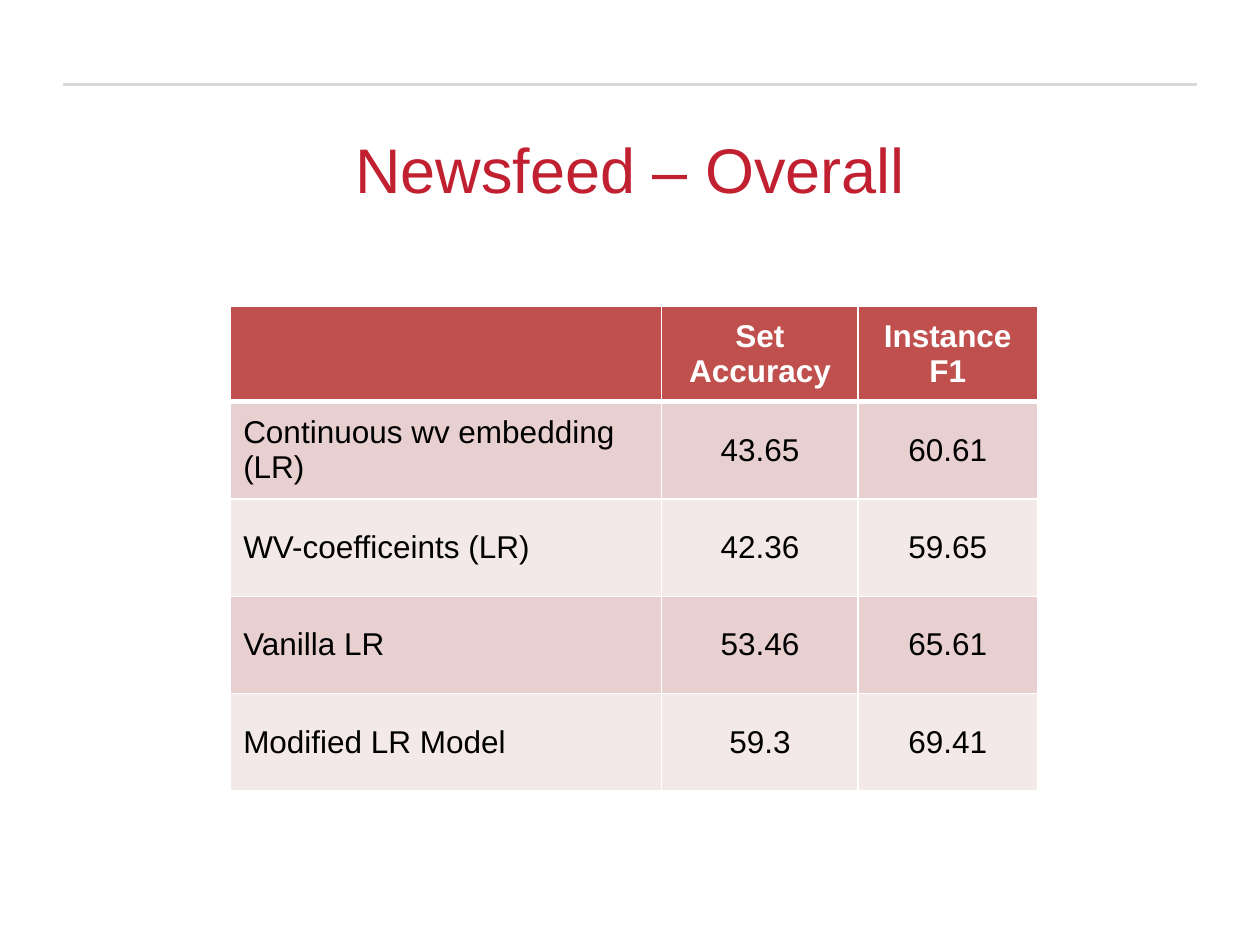
from lxml.etree import SubElement
from pptx import Presentation
from pptx.dml.color import RGBColor
from pptx.enum.shapes import MSO_CONNECTOR
from pptx.enum.text import MSO_ANCHOR, PP_ALIGN
from pptx.oxml.ns import qn
from pptx.util import Cm, Pt


def color(hex_value):
    return RGBColor.from_string(hex_value)


def style_font(font, formats):
    font.color.rgb = color(formats["color"])
    for attribute, value in formats.items():
        if attribute != "color":
            setattr(font, attribute, value)


HEADING = {"name": "Arial", "size": Pt(36), "bold": False, "color": "C12030"}
HEADER = {"name": "Arial", "size": Pt(18), "bold": True, "color": "FFFFFF"}
BODY = HEADER | {"bold": False, "color": "000000"}
HEADER_FILL = "C0504D"
BAND_FILLS = ["F4E9E9", "E8D0D0"]

RESULTS = [
    ["", "Set Accuracy", "Instance F1"],
    ["Continuous wv embedding (LR)", "43.65", "60.61"],
    ["WV-coefficeints (LR)", "42.36", "59.65"],
    ["Vanilla LR", "53.46", "65.61"],
    ["Modified LR Model", "59.3", "69.41"],
]
COLUMN_WIDTHS = [8.69, 3.96, 3.61]
ROW_HEIGHTS = [1.93] + [1.96] * 4

deck = Presentation()
deck.slide_width, deck.slide_height = Cm(25.4), Cm(19.05)
slide = deck.slides.add_slide(deck.slide_layouts[5])

# Rule above the heading
rule = slide.shapes.add_connector(
    MSO_CONNECTOR.STRAIGHT, Cm(1.27), Cm(1.7), Cm(24.13), Cm(1.7)
)
rule.line.color.rgb = color("D9D9D9")
rule.line.width = Pt(2)
SubElement(rule.element.spPr, qn("a:effectLst"))

# Heading
heading = slide.shapes.title
heading.left, heading.top = Cm(1.27), Cm(2.34)
heading.width, heading.height = Cm(22.86), Cm(2.11)
heading.text_frame.text = "Newsfeed – Overall"
heading.text_frame.vertical_anchor = MSO_ANCHOR.MIDDLE
heading_line = heading.text_frame.paragraphs[0]
heading_line.alignment = PP_ALIGN.CENTER
style_font(heading_line.runs[0].font, HEADING)

# Results by model
results = slide.shapes.add_table(
    len(RESULTS), len(COLUMN_WIDTHS), Cm(4.65), Cm(6.17),
    Cm(sum(COLUMN_WIDTHS)), Cm(sum(ROW_HEIGHTS)),
).table
for column, width in zip(results.columns, COLUMN_WIDTHS):
    column.width = Cm(width)

for row_index, (row, height) in enumerate(zip(results.rows, ROW_HEIGHTS)):
    row.height = Cm(height)
    is_header = row_index == 0
    for column_index, cell in enumerate(row.cells):
        cell.text = RESULTS[row_index][column_index]
        cell.vertical_anchor = MSO_ANCHOR.MIDDLE
        entry = cell.text_frame.paragraphs[0]
        entry.alignment = PP_ALIGN.CENTER if column_index else PP_ALIGN.LEFT
        style_font(entry.font, HEADER if is_header else BODY)

        # The border under the header is heavier, on both cells that share it
        heavy_side = {0: "lnB", 1: "lnT"}.get(row_index)
        cell_format = cell._tc.get_or_add_tcPr()
        for side in ("lnL", "lnR", "lnT", "lnB"):
            width = Pt(3 if side == heavy_side else 1)
            border = SubElement(cell_format, qn(f"a:{side}"), w=str(width))
            border_fill = SubElement(border, qn("a:solidFill"))
            SubElement(border_fill, qn("a:srgbClr"), val="FFFFFF")
        cell.fill.solid()
        cell.fill.fore_color.rgb = color(
            HEADER_FILL if is_header else BAND_FILLS[row_index % 2]
        )

deck.save("out.pptx")
